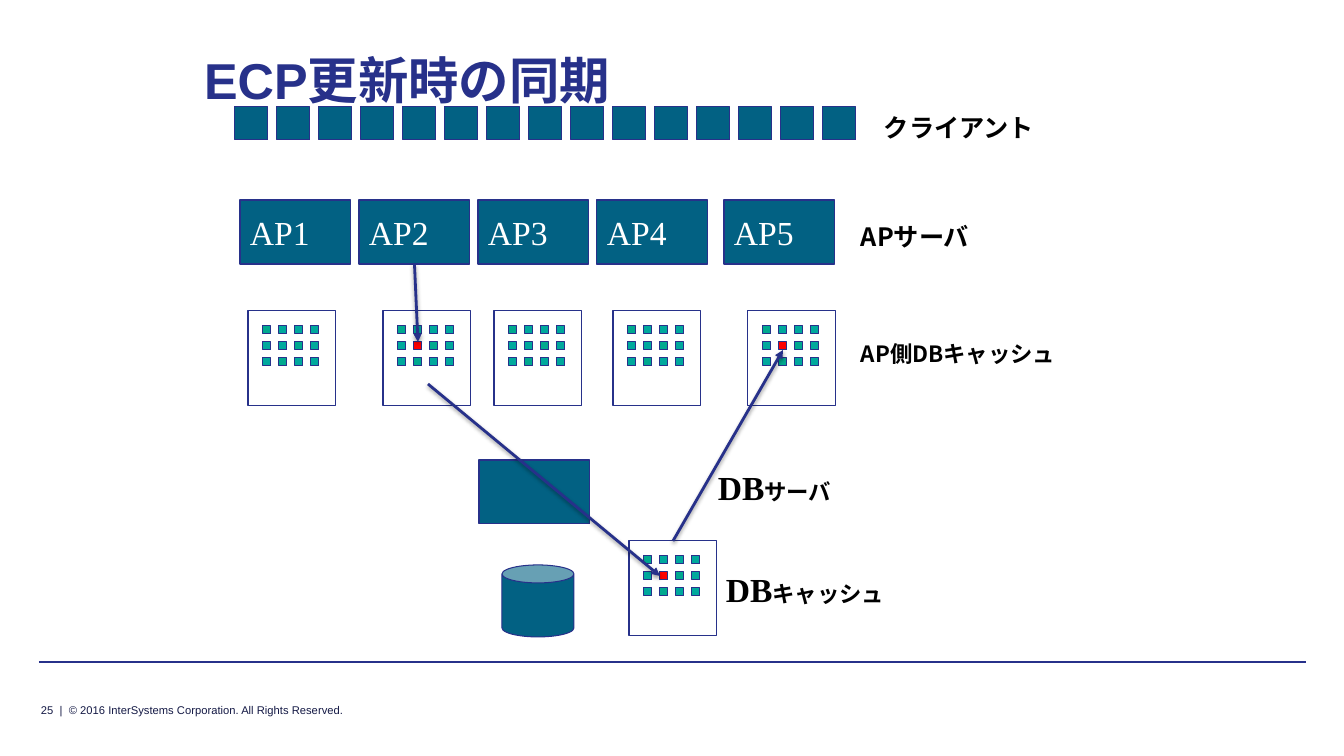
from dataclasses import dataclass

from lxml.etree import SubElement
from pptx import Presentation
from pptx.dml.color import RGBColor
from pptx.enum.shapes import MSO_CONNECTOR as Connector, MSO_SHAPE as Shape
from pptx.enum.text import MSO_ANCHOR as Anchor, MSO_AUTO_SIZE as AutoSize, PP_ALIGN as Align
from pptx.oxml.ns import qn
from pptx.util import Emu, Pt


@dataclass(frozen=True)
class Theme:
    navy: str = "27318A"
    teal: str = "026183"
    cell: str = "00A99D"
    cell_accent: str = "00A98F"
    updated: str = "FF0000"
    white: str = "FFFFFF"
    black: str = "000000"
    footer: str = "141945"
    sans: str = "Arial"
    serif: str = "Times New Roman"
    japanese: str = "Noto Sans CJK JP"
    title_size: int = 36
    large: int = 24
    label: int = 18
    small: int = 16
    footer_size: int = 8
    thin: float = 0.75
    thick: float = 2


theme = Theme()

# Content: text runs are (text, font, size), boxes are (left, top, width, height) in px
TITLE = [("ECP", theme.sans, theme.title_size),
         ("更新時の同期", theme.japanese, theme.title_size)]
TITLE_BOX = (194, 20, 865, 118)
FOOTER = [("25  |  © 2016 InterSystems Corporation. All Rights Reserved.",
           theme.sans, theme.footer_size)]
FOOTER_BOX = (39, 701, 474, 18)
LABELS = [
    ((874, 107, 182, 40), [("クライアント", theme.japanese, theme.label)]),
    ((851, 216, 182, 40), [("APサーバ", theme.japanese, theme.label)]),
    ((851, 335, 258, 37), [("AP側DBキャッシュ", theme.japanese, theme.small)]),
    ((708, 462, 182, 50), [("DB", theme.serif, theme.large),
                           ("サーバ", theme.japanese, theme.small)]),
    ((716, 564, 211, 50), [("DB", theme.serif, theme.large),
                           ("キャッシュ", theme.japanese, theme.small)]),
]
# Application servers: name, server left, cache left, whether the cache holds an update
AP_SERVERS = [("AP1", 240, 248, False), ("AP2", 359, 383, True), ("AP3", 478, 494, False),
              ("AP4", 597, 613, False), ("AP5", 724, 748, True)]
AP_TOP, AP_CACHE_TOP = 200, 311
DB_CACHE = (629, 541)
DB_SERVER = (479, 460)
DISK = (502, 565, 72, 72)
SERVER_SIZE = (111, 64)
CACHE_SIZE = (88, 95)
CLIENT_COUNT, CLIENT_LEFT, CLIENT_TOP, CLIENT_SIZE, CLIENT_PITCH = 15, 235, 107, 33, 42
CELL_COLUMNS, CELL_ROWS, CELL_INSET, CELL_SIZE, CELL_PITCH = 4, 3, 15, 8, 16
ACCENT_CELLS = {(0, 0), (2, 1), (1, 2)}
UPDATED_CELL = (1, 1)
TOP, LEFT, BOTTOM = 0, 1, 2


def px(length):
    return Emu(round(length * 914400 / 100.8))


def rgb(value):
    return RGBColor.from_string(value)


def write(frame, runs, color, bold=False):
    """Fill a text frame with one left-aligned paragraph."""
    frame.word_wrap = True
    paragraph = frame.paragraphs[0]
    paragraph.alignment = Align.LEFT
    paragraph.font.bold = bold
    paragraph.font.color.rgb = rgb(color)
    alike = len(runs) == 1
    for text, typeface, size in runs:
        run = paragraph.add_run()
        run.text = text
        font = paragraph.font if alike else run.font
        font.name, font.size = typeface, Pt(size)
        properties = paragraph._p.pPr.find(qn("a:defRPr")) if alike else run._r.rPr
        SubElement(properties, qn("a:ea")).set("typeface", typeface)


def add_label(box, runs, color, bold=False):
    frame = slide.shapes.add_textbox(*map(px, box)).text_frame
    write(frame, runs, color, bold)
    return frame


def add_block(left, top, width, height, fill=theme.teal, kind=Shape.RECTANGLE):
    block = slide.shapes.add_shape(kind, px(left), px(top), px(width), px(height))
    block.shadow.inherit = False
    block.fill.solid()
    block.fill.fore_color.rgb = rgb(fill)
    block.line.color.rgb = rgb(theme.navy)
    block.line.width = Pt(theme.thin)
    return block


def add_cache(left, top, has_update):
    """Draw a cache page and return it with its updatable cell."""
    page = add_block(left, top, *CACHE_SIZE, theme.white)
    cells = {}
    for row in range(CELL_ROWS):
        for column in range(CELL_COLUMNS):
            place = (column, row)
            fill = theme.cell_accent if place in ACCENT_CELLS else theme.cell
            if has_update and place == UPDATED_CELL:
                fill = theme.updated
            cells[place] = add_block(left + CELL_INSET + column * CELL_PITCH,
                                     top + CELL_INSET + row * CELL_PITCH,
                                     CELL_SIZE, CELL_SIZE, fill)
    return page, cells[UPDATED_CELL]


def add_line(start, end, width):
    """Draw a line and return it with its empty effect list."""
    line = slide.shapes.add_connector(Connector.STRAIGHT, *map(px, start + end))
    line.line.color.rgb = rgb(theme.navy)
    line.line.width = Pt(width)
    return line, SubElement(line._element.spPr, qn("a:effectLst"))


def add_arrow(start, target, target_side, source=None, source_side=None):
    arrow, effects = add_line(start, start, theme.thick)
    if source is not None:
        arrow.begin_connect(source, source_side)
    arrow.end_connect(target, target_side)
    SubElement(arrow.line._get_or_add_ln(), qn("a:tailEnd")).set("type", "triangle")
    shadow = SubElement(effects, qn("a:outerShdw"), blurRad=str(Pt(3.1)), dist=str(Pt(1.6)),
                        dir="5400000", rotWithShape="0")
    shade = SubElement(shadow, qn("a:srgbClr"), val=theme.black)
    SubElement(shade, qn("a:alpha"), val="38000")


# Slide and title
deck = Presentation()
deck.slide_width, deck.slide_height = px(1344), px(756)
slide = deck.slides.add_slide(deck.slide_layouts[5])
slide.background.fill.solid()
slide.background.fill.fore_color.rgb = rgb(theme.white)
title = slide.shapes.title
title.left, title.top, title.width, title.height = map(px, TITLE_BOX)
title.text_frame.auto_size = AutoSize.NONE
title.text_frame.vertical_anchor = Anchor.MIDDLE
write(title.text_frame, TITLE, theme.navy, bold=True)

# Footer
add_line((39, 662), (1306, 662), theme.thin)
footer = add_label(FOOTER_BOX, FOOTER, theme.footer)
footer.margin_left = footer.margin_right = footer.margin_top = footer.margin_bottom = px(2)

# Database side
add_block(*DISK, kind=Shape.CAN).adjustments[0] = 0.25
add_block(*DB_SERVER, *SERVER_SIZE)
db_cache, db_cell = add_cache(*DB_CACHE, True)

# Application servers and their caches
servers, cache_cells = {}, {}
for name, server_left, cache_left, has_update in AP_SERVERS:
    servers[name] = add_block(server_left, AP_TOP, *SERVER_SIZE)
    servers[name].text_frame.vertical_anchor = Anchor.MIDDLE
    write(servers[name].text_frame, [(name, theme.serif, theme.large)], theme.white)
    _, cache_cells[name] = add_cache(cache_left, AP_CACHE_TOP, has_update)

# Clients
for index in range(CLIENT_COUNT):
    add_block(CLIENT_LEFT + index * CLIENT_PITCH, CLIENT_TOP, CLIENT_SIZE, CLIENT_SIZE)

# Row labels
for box, runs in LABELS:
    add_label(box, runs, theme.black, bold=True)

# Path of the update: AP2, its cache, the database cache, the AP5 cache
add_arrow((414, 264), cache_cells["AP2"], TOP, servers["AP2"], BOTTOM)
add_arrow((428, 384), db_cell, LEFT)
add_arrow((673, 541), cache_cells["AP5"], BOTTOM, db_cache, TOP)

deck.save("out.pptx")
